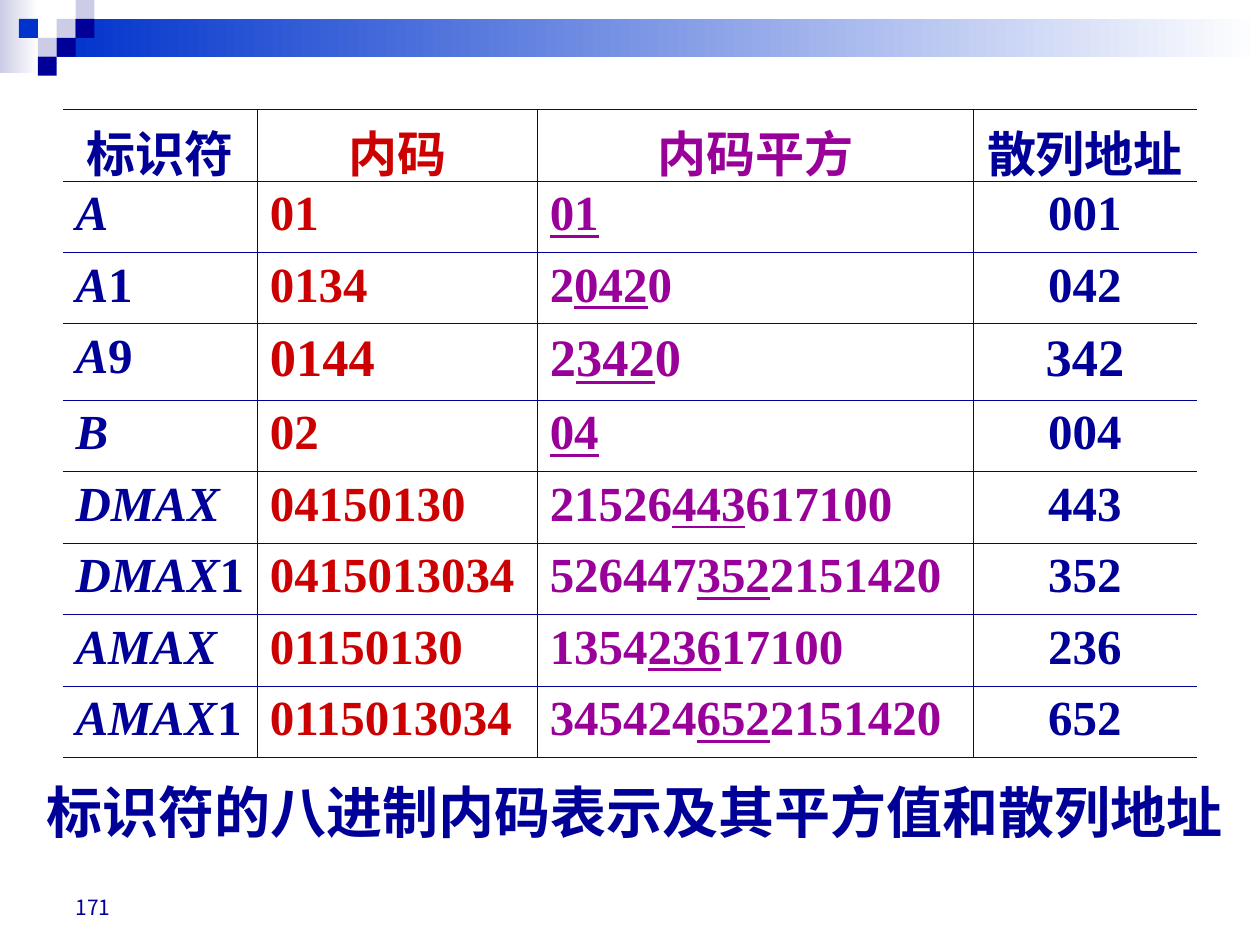
from lxml.etree import SubElement
from pptx import Presentation
from pptx.dml.color import RGBColor
from pptx.enum.shapes import MSO_SHAPE as Shape
from pptx.enum.text import MSO_ANCHOR as Anchor, MSO_AUTO_SIZE as Fit, PP_ALIGN as Align
from pptx.oxml.ns import qn
from pptx.util import Pt

NAVY = RGBColor(0x00, 0x00, 0x99)
BLUE = RGBColor(0x00, 0x33, 0xCC)
PALE = RGBColor(0xCC, 0xCC, 0xE6)
WHITE = RGBColor(0xFF, 0xFF, 0xFF)
RED = RGBColor(0xCC, 0x00, 0x00)
PURPLE = RGBColor(0x99, 0x00, 0x99)


def write(frame, *parts, size=28, font="Times New Roman", color=NAVY,
          bold=True, align=Align.LEFT):
    """Fill one paragraph; a part is plain text or (text, "italic" / "underline")."""
    para = frame.paragraphs[0]
    para.alignment = align
    for part in parts:
        text, style = (part, None) if isinstance(part, str) else part
        if not text:
            continue
        run = para.add_run()
        run.text = text
        run.font.size, run.font.name, run.font.bold = Pt(size), font, bold
        run.font.color.rgb = color
        if style:
            setattr(run.font, style, True)


def block(x, y, w, h, color, fade=False):
    """Draw a borderless rectangle, plain or fading to white."""
    rect = slide.shapes.add_shape(Shape.RECTANGLE, Pt(x), Pt(y), Pt(w), Pt(h))
    rect.shadow.inherit = False
    rect.line.fill.background()
    if fade:
        rect.fill.gradient()
        rect.fill.gradient_angle = 0
        for stop, tint, pos in zip(rect.fill.gradient_stops, (color, WHITE), (0, 1)):
            stop.color.rgb, stop.position = tint, pos
    else:
        rect.fill.solid()
        rect.fill.fore_color.rgb = color


prs = Presentation()
prs.slide_width, prs.slide_height = Pt(720), Pt(540)
slide = prs.slides.add_slide(prs.slide_layouts[6])

# Banner: two fading bars and a mosaic of squares
UNIT = 10.8
block(0, 0, 22, 41.8, PALE, fade=True)
block(3 * UNIT, UNIT, 720 - 3 * UNIT, 2 * UNIT, BLUE, fade=True)
for col, row, color in [(3, 1, PALE), (4, 0, PALE), (4, 1, NAVY), (2, 2, PALE),
                        (1, 1, BLUE), (3, 2, NAVY), (2, 3, NAVY)]:
    block(col * UNIT, row * UNIT, UNIT, UNIT, color)

# Page number
page = slide.shapes.add_textbox(Pt(36), Pt(491.8), Pt(168), Pt(37.5)).text_frame
page.word_wrap = True
page.vertical_anchor = Anchor.BOTTOM
write(page, "171", size=12, font="Noto Sans CJK JP", bold=False)

# Table: name, digit, code, square (before, picked, after), address
heads = ["标识符", "内码", "内码平方", "散列地址"]
items = [
    ("A", "", "01", "", "01", "", "001"),
    ("A", "1", "0134", "2", "042", "0", "042"),
    ("A", "9", "0144", "2", "342", "0", "342"),
    ("B", "", "02", "", "04", "", "004"),
    ("DMAX", "", "04150130", "21526", "443", "617100", "443"),
    ("DMAX", "1", "0415013034", "526447", "352", "2151420", "352"),
    ("AMAX", "", "01150130", "1354", "236", "17100", "236"),
    ("AMAX", "1", "0115013034", "345424", "652", "2151420", "652"),
]
tints = [NAVY, RED, PURPLE, NAVY]
widths = [111, 160, 249, 128]
BIG = 3  # the row set in larger type
table = slide.shapes.add_table(len(items) + 1, len(heads), Pt(36), Pt(62.5),
                               Pt(sum(widths)), Pt(370)).table
table.first_row = table.horz_banding = False
for col, width in zip(table.columns, widths):
    col.width = Pt(width)
for num, row in enumerate(table.rows):
    row.height = Pt(43.5 if num == BIG else 40.85)

for col, (head, tint) in enumerate(zip(heads, tints)):
    write(table.cell(0, col).text_frame, head, color=tint, align=Align.CENTER)
for num, (name, digit, code, pre, mid, post, addr) in enumerate(items, 1):
    cells = [[(name, "italic"), digit], [code], [pre, (mid, "underline"), post], [addr]]
    for col, parts in enumerate(cells):
        write(table.cell(num, col).text_frame, *parts, color=tints[col],
              size=30 if num == BIG and col else 28,
              align=Align.CENTER if col == 3 else Align.LEFT)

# Table rules: open at the sides, heavier at top and bottom
last, end = len(items), len(heads) - 1
for num, row in enumerate(table.rows):
    for col, cell in enumerate(row.cells):
        cell.margin_left = cell.margin_right = Pt(7.2)
        cell.margin_top = cell.margin_bottom = Pt(3.6)
        rules = {"a:lnL": 0.45 if col else 0, "a:lnR": 0.45 if col < end else 0,
                 "a:lnT": 0.45 if num else 1.08, "a:lnB": 0.45 if num < last else 1.08}
        props = cell._tc.get_or_add_tcPr()
        for tag, wide in rules.items():
            line = SubElement(props, qn(tag), w=str(Pt(wide)))
            if wide:
                SubElement(SubElement(line, qn("a:solidFill")), qn("a:srgbClr"), val=str(NAVY))
            else:
                SubElement(line, qn("a:noFill"))
        cell.fill.background()

# Caption
note = slide.shapes.add_textbox(Pt(19.5), Pt(440.6), Pt(687), Pt(46)).text_frame
note.word_wrap = False
note.auto_size = Fit.SHAPE_TO_FIT_TEXT
write(note, "标识符的八进制内码表示及其平方值和散列地址", size=32, font="Arial")

prs.save("out.pptx")
